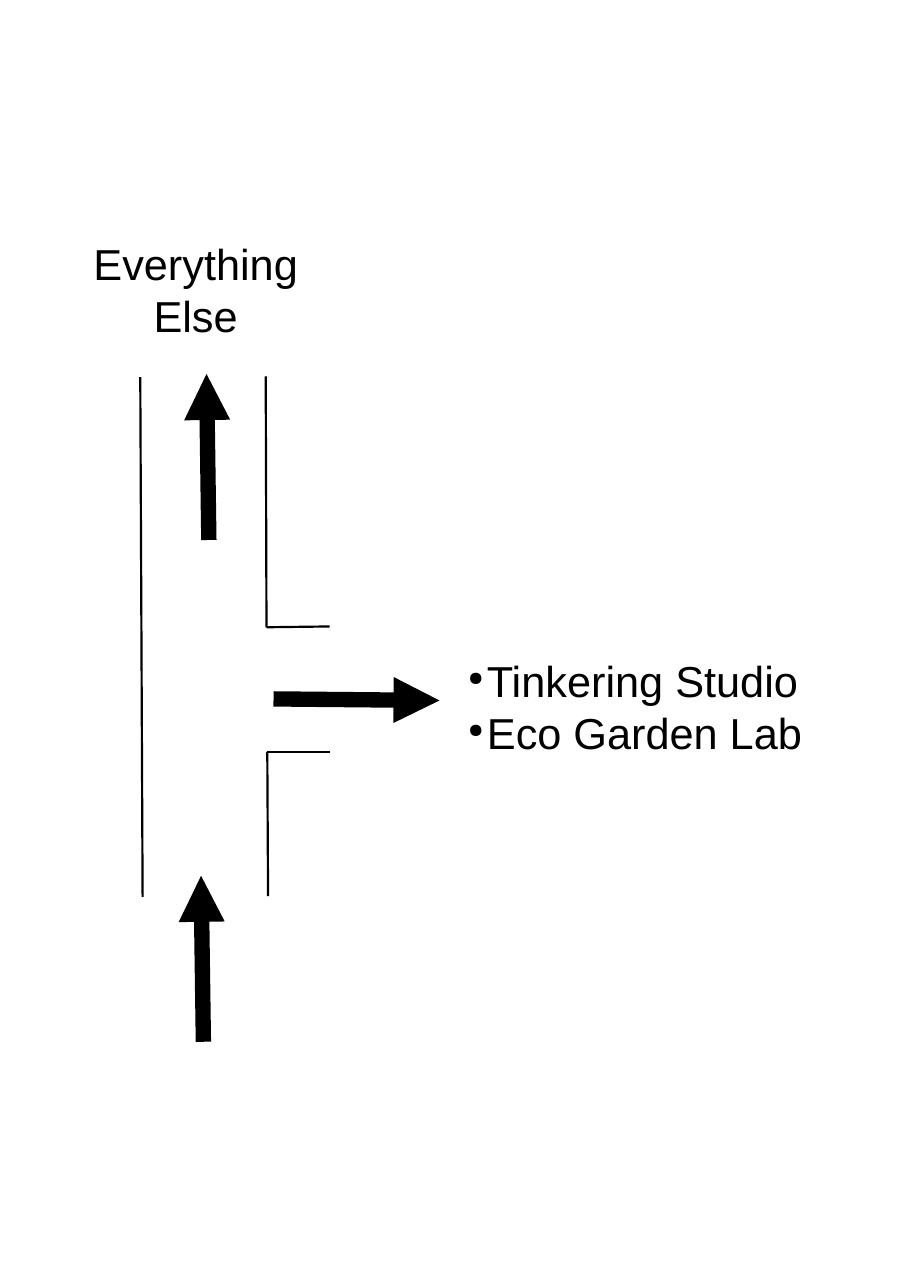
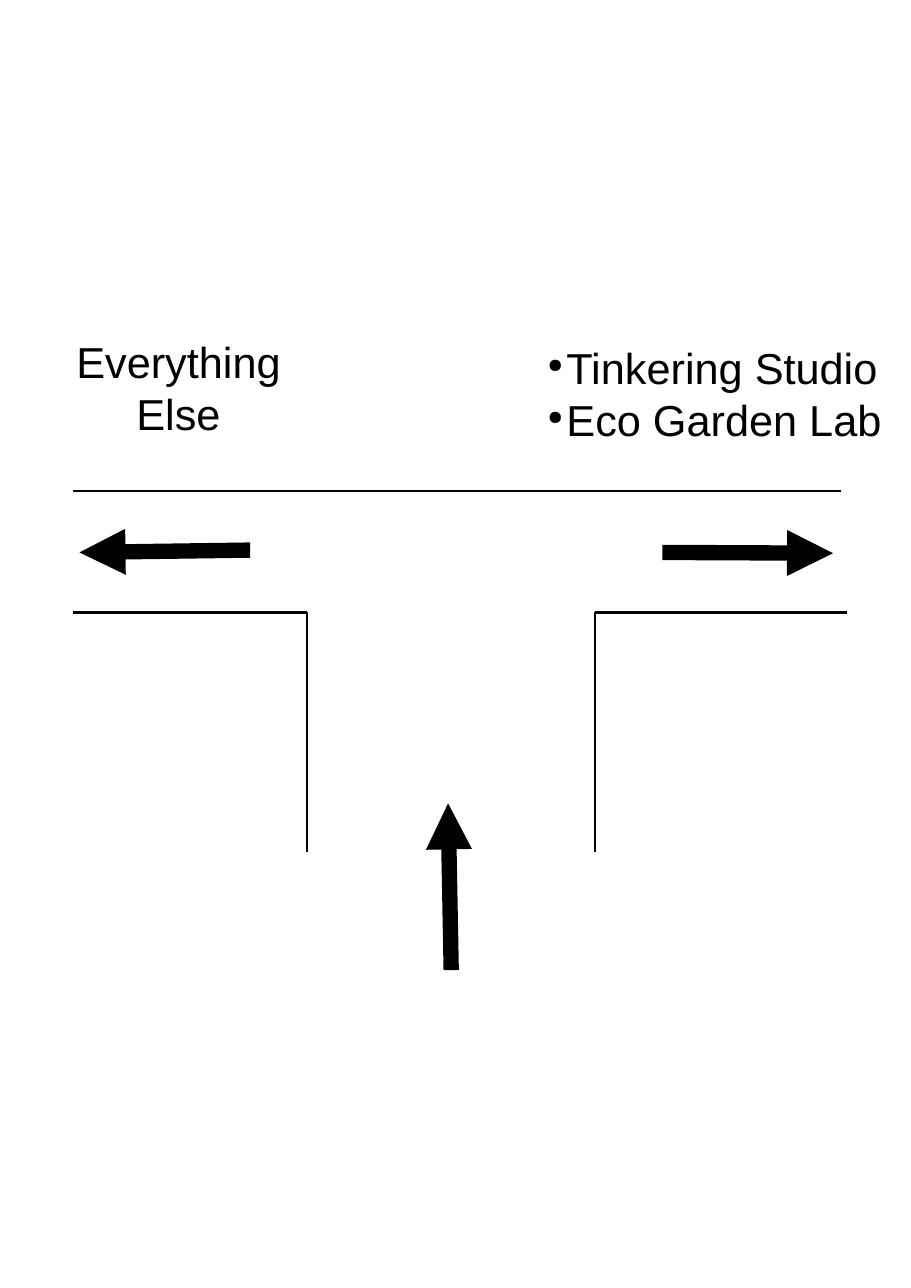
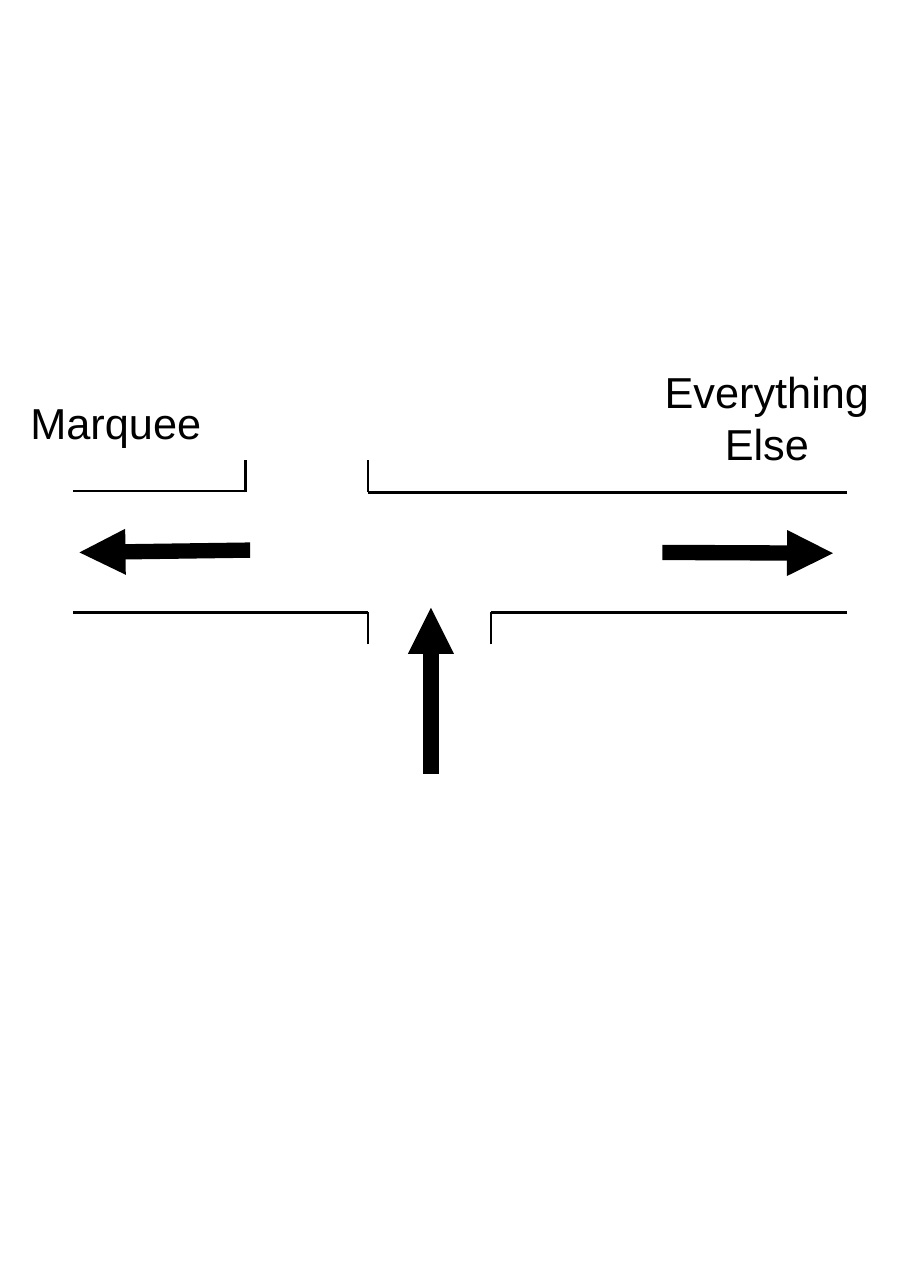
from lxml import etree
from pptx import Presentation
from pptx import util as u
from pptx.dml.color import RGBColor
from pptx.enum import shapes, text
from pptx.oxml.ns import qn

COLOURS = {"ink": "000000", "paper": "FFFFFF"}
INK = RGBColor.from_string(COLOURS["ink"])
FONT = "Arial"
WALL, ARROW = 0, 14.17  # line widths in points; 0 is a hairline
ELSE = "Everything\nElse"
LABS = "Tinkering Studio\nEco Garden Lab"

# Shared by the two T-junction signs
EAST_ARROW = (8.5, 7.09, 10.69, 7.1)
WEST_ARROW = (3.21, 7.06, 1.02, 7.09)
LEFT, RIGHT, TOP, BOTTOM = 0.94, 10.87, 6.3, 7.86

# Walls and arrows are (x1, y1, x2, y2); labels are (words, box, bulleted)
SIGNS = [
    {
        "walls": [
            (1.8, 4.84, 1.83, 11.51),
            (3.41, 4.83, 3.42, 8.05),
            (4.23, 8.04, 3.42, 8.05),
            (4.23, 9.65, 3.43, 9.65),
            (3.43, 9.65, 3.44, 11.5),
        ],
        "arrows": [
            (3.51, 8.97, 5.64, 8.99),
            (2.61, 13.37, 2.58, 11.24),
            (2.68, 6.93, 2.65, 4.8),
        ],
        "labels": [
            (ELSE, (1.1, 2.99, 2.82, 1.34), False),
            (LABS, (5.91, 8.35, 4.48, 1.34), True),
        ],
    },
    {
        "walls": [
            (10.79, TOP, LEFT, TOP),
            (RIGHT, BOTTOM, 7.64, BOTTOM),
            (7.64, 10.94, 7.64, BOTTOM),
            (3.94, 10.94, 3.94, BOTTOM),
            (3.94, BOTTOM, LEFT, BOTTOM),
        ],
        "arrows": [(5.79, 12.45, 5.75, 10.31), EAST_ARROW, WEST_ARROW],
        "labels": [
            (LABS, (6.93, 4.33, 4.48, 1.34), True),
            (ELSE, (0.88, 4.25, 2.82, 1.34), False),
        ],
    },
    {
        "walls": [
            (3.15, TOP, LEFT, TOP),
            (RIGHT, BOTTOM, 6.3, BOTTOM),
            (6.3, 8.27, 6.3, BOTTOM),
            (4.72, 8.27, 4.72, BOTTOM),
            (4.72, BOTTOM, LEFT, BOTTOM),
            (3.15, 6.32, 3.15, 5.91),
            (4.72, 6.32, 4.72, 5.91),
            (RIGHT, 6.32, 4.72, 6.32),
        ],
        "arrows": [(5.53, 9.93, 5.53, 7.8), EAST_ARROW, WEST_ARROW],
        "labels": [
            ("Marquee", (0.29, 5.03, 2.39, 0.72), False),
            (ELSE, (8.43, 4.64, 2.82, 1.34), False),
        ],
    },
]


def add_line(page, ends, width, arrowhead=False):
    line = page.shapes.add_connector(
        shapes.MSO_CONNECTOR.STRAIGHT, *[u.Inches(end) for end in ends])
    line.line.color.rgb = INK
    line.line.width = u.Pt(width)
    if arrowhead:
        etree.SubElement(line.line._get_or_add_ln(), qn("a:tailEnd"), type="triangle")
    etree.SubElement(line._element.spPr, qn("a:effectLst"))


def add_label(page, words, box, size=40, bulleted=False):
    """Add one paragraph per line of words, bulleted or centred."""
    frame = page.shapes.add_textbox(*[u.Inches(length) for length in box]).text_frame
    frame.word_wrap = False
    frame.auto_size = text.MSO_AUTO_SIZE.SHAPE_TO_FIT_TEXT
    for number, line in enumerate(words.split("\n")):
        para = frame.add_paragraph() if number else frame.paragraphs[0]
        span = para.add_run()
        span.text = line
        span.font.name = FONT
        span.font.size = u.Pt(size)
        span.font.color.rgb = INK
        para.alignment = text.PP_ALIGN.LEFT if bulleted else text.PP_ALIGN.CENTER
        if bulleted:
            props = para._p.get_or_add_pPr()
            props.set("marL", str(u.Inches(0.24)))
            props.set("indent", str(u.Inches(-0.24)))
            colour = etree.SubElement(props, qn("a:buClr"))
            etree.SubElement(colour, qn("a:srgbClr"), val=COLOURS["ink"])
            etree.SubElement(props, qn("a:buSzPct"), val="45000")
            etree.SubElement(props, qn("a:buChar"), char="●")


deck = Presentation()
deck.slide_width = u.Inches(11.69)
deck.slide_height = u.Inches(16.53)
for sign in SIGNS:
    page = deck.slides.add_slide(deck.slide_layouts[6])
    page.background.fill.solid()
    page.background.fill.fore_color.rgb = RGBColor.from_string(COLOURS["paper"])
    for wall in sign["walls"]:
        add_line(page, wall, WALL)
    for arrow in sign["arrows"]:
        add_line(page, arrow, ARROW, arrowhead=True)
    for words, box, bulleted in sign["labels"]:
        add_label(page, words, box, bulleted=bulleted)
deck.save("out.pptx")
